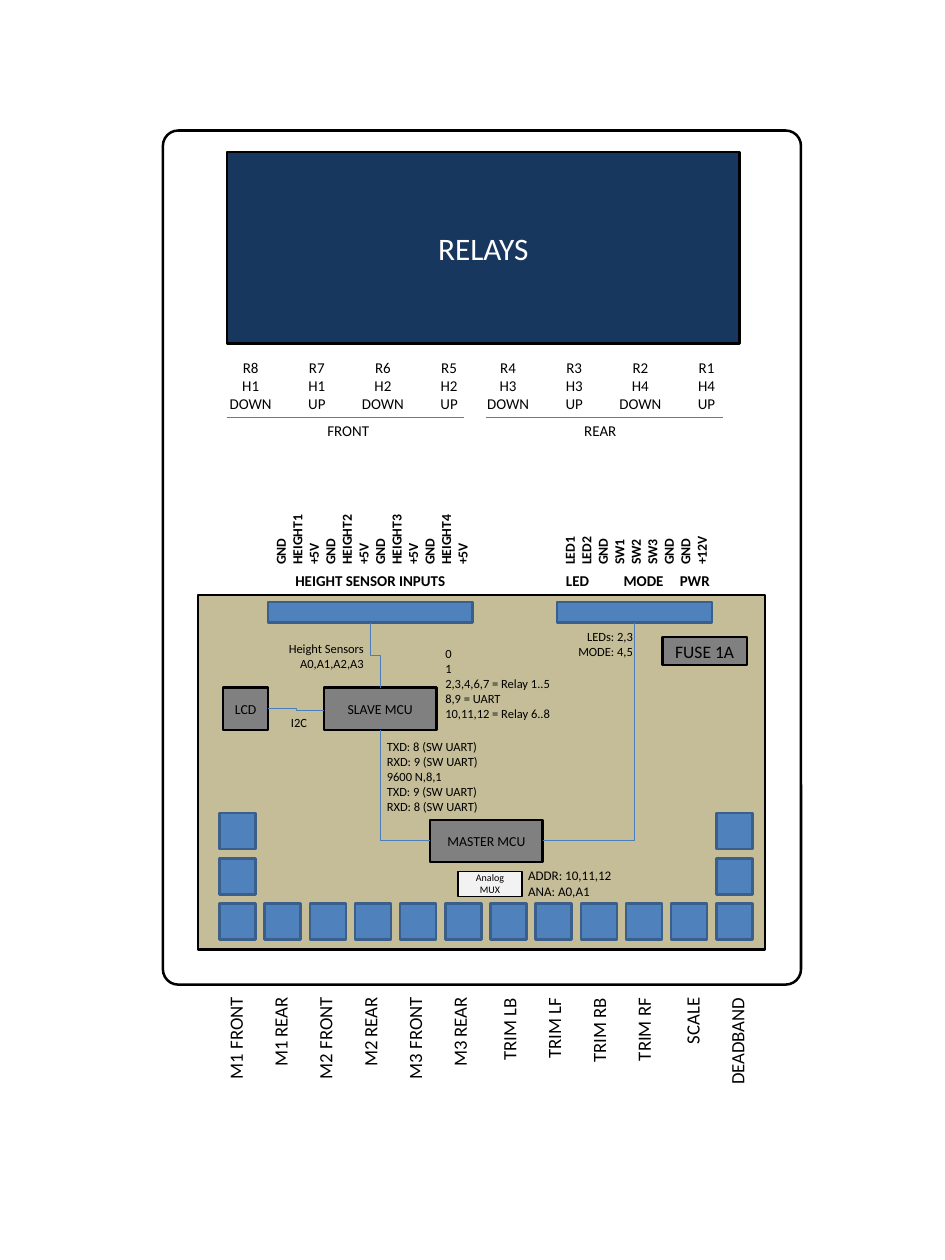
from dataclasses import dataclass

from lxml import etree
from pptx import Presentation
from pptx.dml.color import RGBColor
from pptx.enum.shapes import MSO_CONNECTOR, MSO_SHAPE
from pptx.enum.text import MSO_ANCHOR, PP_ALIGN
from pptx.oxml.ns import qn
from pptx.util import Inches, Pt

# The slide is a grid of 21 columns and 28 rows of square cells
COLUMNS, ROWS = 21, 28
SLIDE_W, SLIDE_H = Inches(10.5), Inches(14)
CELL = SLIDE_W / COLUMNS

BLACK = RGBColor(0x00, 0x00, 0x00)
WHITE = RGBColor(0xFF, 0xFF, 0xFF)
BOARD = RGBColor(0xC4, 0xBD, 0x97)
NAVY = RGBColor(0x17, 0x37, 0x5E)
BLUE = RGBColor(0x4F, 0x81, 0xBD)
BLUE_EDGE = RGBColor(0x3A, 0x5F, 0x8C)
WIRE = RGBColor(0x4B, 0x7E, 0xBC)
GREY = RGBColor(0x80, 0x80, 0x80)
PALE = RGBColor(0xF2, 0xF2, 0xF2)

LEFT, CENTER, RIGHT = PP_ALIGN.LEFT, PP_ALIGN.CENTER, PP_ALIGN.RIGHT


@dataclass
class Box:
    """Position and size in grid cells."""
    x: float
    y: float
    w: float
    h: float


@dataclass
class Block:
    """A filled rectangle, with an optional caption."""
    box: Box
    fill: RGBColor | None
    edge: RGBColor = BLACK
    text: str = ""
    size: float = 11
    color: RGBColor = BLACK
    edge_width: float = 2


@dataclass
class Label:
    """A text box; \\v breaks a line inside a paragraph."""
    box: Box
    paragraphs: list[str]
    size: float
    align: PP_ALIGN = LEFT
    bold: bool = False
    rotation: int = 0
    gap: float = 0


@dataclass
class Wire:
    start: tuple[float, float]
    end: tuple[float, float]
    preset: str = "line"
    rotated: bool = False


def cells(*values: float) -> list[int]:
    return [round(value * CELL) for value in values]


def write(frame, paragraphs: list[str], size: float, align, color=BLACK, bold=False, gap=0.0) -> None:
    frame.word_wrap = True
    for i, text in enumerate(paragraphs):
        paragraph = frame.paragraphs[0] if i == 0 else frame.add_paragraph()
        paragraph.text = text
        paragraph.alignment = align
        if i and gap:
            paragraph.space_before = Pt(gap)
        for run in paragraph.runs:
            font = run.font
            font.name, font.size, font.bold = "Calibri", Pt(size), bold
            font.color.rgb = color


def draw_block(shapes, block: Block, preset=MSO_SHAPE.RECTANGLE):
    box = block.box
    shape = shapes.add_shape(preset, *cells(box.x, box.y, box.w, box.h))
    shape.shadow.inherit = False
    if block.fill is None:
        shape.fill.background()
    else:
        shape.fill.solid()
        shape.fill.fore_color.rgb = block.fill
    shape.line.color.rgb = block.edge
    shape.line.width = Pt(block.edge_width)
    if block.text:
        shape.text_frame.vertical_anchor = MSO_ANCHOR.MIDDLE
        write(shape.text_frame, [block.text], block.size, CENTER, block.color)
    return shape


def draw_label(shapes, label: Label):
    box = label.box
    shape = shapes.add_textbox(*cells(box.x, box.y, box.w, box.h))
    shape.rotation = label.rotation
    write(shape.text_frame, label.paragraphs, label.size, label.align, bold=label.bold, gap=label.gap)
    return shape


def draw_wire(shapes, wire: Wire) -> None:
    (x1, y1), (x2, y2) = wire.start, wire.end
    if wire.rotated:  # frame before a quarter turn about its centre
        cx, cy, half_w, half_h = (x1 + x2) / 2, (y1 + y2) / 2, (y2 - y1) / 2, (x2 - x1) / 2
        x1, y1, x2, y2 = cx + half_w, cy - half_h, cx - half_w, cy + half_h
    line = shapes.add_connector(MSO_CONNECTOR.STRAIGHT, *cells(x1, y1, x2, y2))
    line.line.color.rgb = WIRE
    line.line.width = Pt(0.75)
    properties = line._element.spPr
    properties.find(qn("a:prstGeom")).set("prst", wire.preset)
    if wire.rotated:
        properties.find(qn("a:xfrm")).set("rot", "16200000")
    etree.SubElement(properties, qn("a:effectLst"))


def set_tabs(paragraph, stops: list[float]) -> None:
    tabs = etree.SubElement(paragraph._p.get_or_add_pPr(), qn("a:tabLst"))
    for position in cells(*stops):
        etree.SubElement(tabs, qn("a:tab"), pos=str(position), algn="l")


prs = Presentation()
prs.slide_width, prs.slide_height = SLIDE_W, SLIDE_H
shapes = prs.slides.add_slide(prs.slide_layouts[6]).shapes

# Board, case and relay bank
draw_block(shapes, Block(Box(4.4, 13.22, 12.6, 7.88), BOARD))
case = draw_block(shapes, Block(Box(3.62, 2.9, 14.18, 18.98), None), MSO_SHAPE.ROUNDED_RECTANGLE)
case.adjustments[0] = 0.024
draw_block(shapes, Block(Box(5.04, 3.38, 11.4, 4.26), NAVY, text="RELAYS", size=25, color=WHITE))

# Jacks: a bottom row of twelve, and two more above each end
JACK, FIRST_X, LAST_X, BOTTOM_Y, JACK_COUNT = 0.8, 4.88, 15.92, 20.08, 12
pitch = (LAST_X - FIRST_X) / (JACK_COUNT - 1)
places = [(FIRST_X + i * pitch, BOTTOM_Y) for i in range(JACK_COUNT)]
places += [(x, BOTTOM_Y - k * pitch) for k in (1, 2) for x in (FIRST_X, LAST_X)]
jacks = shapes.add_group_shape().shapes
for x, y in places:
    draw_block(jacks, Block(Box(x, y, JACK, JACK), BLUE, BLUE_EDGE))

# Terminal strips and components
for block in (
    Block(Box(9.56, 18.22, 2.5, 0.94), GREY, text="MASTER MCU"),
    Block(Box(7.2, 15.28, 2.5, 0.94), GREY, text="SLAVE MCU"),
    Block(Box(4.96, 15.28, 1, 0.94), GREY, text="LCD"),
    Block(Box(14.72, 14.16, 1.88, 0.62), GREY, text="FUSE 1A", size=14),
    Block(Box(10.18, 19.36, 1.42, 0.56), PALE, text="Analog MUX", size=8, edge_width=1),
    Block(Box(5.96, 13.38, 4.54, 0.46), BLUE, BLUE_EDGE),
    Block(Box(12.38, 13.38, 3.44, 0.46), BLUE, BLUE_EDGE),
):
    draw_block(shapes, block)

# Wires
for wire in (
    Wire((8.46, 16.22), (9.56, 18.68), "bentConnector2", True),
    Wire((12.06, 18.68), (14.1, 13.84), "bentConnector2"),
    Wire((8.24, 13.84), (8.46, 15.28), "bentConnector3", True),
    Wire((5.96, 15.75), (7.2, 15.78), "bentConnector3"),
    Wire((5.04, 9.28), (10.3, 9.28)),
    Wire((10.8, 9.28), (16.06, 9.28)),
):
    draw_wire(shapes, wire)

# Terminal, component and jack labels
heights = [f"GND\vHEIGHT{n}\v+5V" for n in range(1, 5)]
motors = [f"M{n} {end}" for n in (1, 2, 3) for end in ("FRONT", "REAR")]
trims = [f"TRIM {corner}" for corner in ("LB", "LF", "RB", "RF")]
for label in (
    Label(Box(7.44, 9.22, 2.04, 5.02), heights, 11, bold=True, rotation=270),
    Label(Box(13.12, 9.96, 2.04, 3.54), ["LED1\vLED2\vGND\vSW1\vSW2\vSW3\vGND\vGND\v+12V"],
          11, bold=True, rotation=270),
    Label(Box(5.96, 12.6, 4.54, 0.6), ["HEIGHT SENSOR INPUTS"], 12, CENTER, bold=True),
    Label(Box(6.52, 20.32, 2.5, 5.78), motors, 15, RIGHT, rotation=270, gap=17.85),
    Label(Box(11.58, 21.36, 2.5, 3.74), trims, 15, RIGHT, rotation=270, gap=17.85),
    Label(Box(14.64, 22.36, 2.5, 1.72), ["SCALE", "DEADBAND"], 15, RIGHT, rotation=270, gap=17.85),
    Label(Box(8.4, 16.32, 3.12, 1.88),
          ["TXD: 8 (SW UART)\vRXD: 9 (SW UART)\v9600 N,8,1\vTXD: 9 (SW UART)\vRXD: 8 (SW UART)"], 10),
    Label(Box(11.54, 19.18, 3, 0.9), ["ADDR: 10,11,12\vANA: A0,A1"], 10.5),
    Label(Box(12.06, 13.88, 2.2, 0.88), ["LEDs: 2,3", "MODE: 4,5"], 10, RIGHT),
    Label(Box(6.08, 14.14, 2.2, 0.88), ["Height Sensors\vA0,A1,A2,A3"], 10, RIGHT),
    Label(Box(6.12, 15.78, 0.9, 0.54), ["I2C"], 10, RIGHT),
    Label(Box(9.7, 14.26, 3, 1.88),
          ["0", "1", "2,3,4,6,7 = Relay 1..5\v8,9 = UART\v10,11,12 = Relay 6..8"], 10),
    Label(Box(5.3, 9.28, 4.88, 0.6), ["FRONT"], 12, CENTER),
    Label(Box(10.9, 9.28, 4.88, 0.6), ["REAR"], 12, CENTER),
):
    draw_label(shapes, label)

strip_names = draw_label(shapes, Label(Box(12.38, 12.6, 4.54, 0.6), ["LED\tMODE\tPWR"], 12, bold=True))
set_tabs(strip_names.text_frame.paragraphs[0], [1.28, 2.53])

# Relay outputs: four front, four rear, alternately down and up
for i in range(8):
    bank, column = divmod(i, 4)
    x = (4.88, 10.6)[bank] + column * 1.47
    lines = [f"R{8 - i}\vH{i // 2 + 1}", "UP" if i % 2 else "DOWN"]
    draw_label(shapes, Label(Box(x, 7.86, 1.38, 1.42), lines, 12, CENTER))

prs.save("out.pptx")
